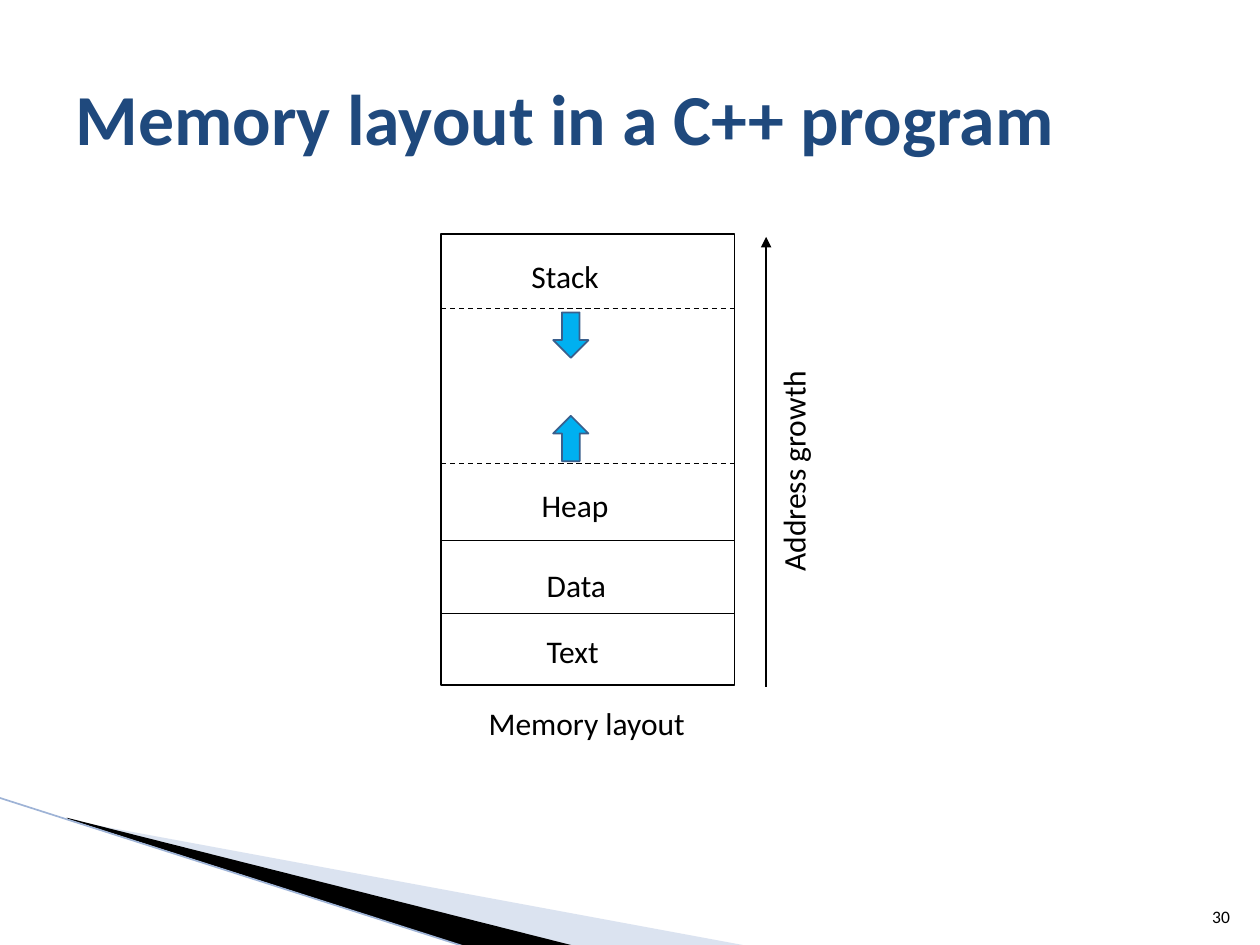
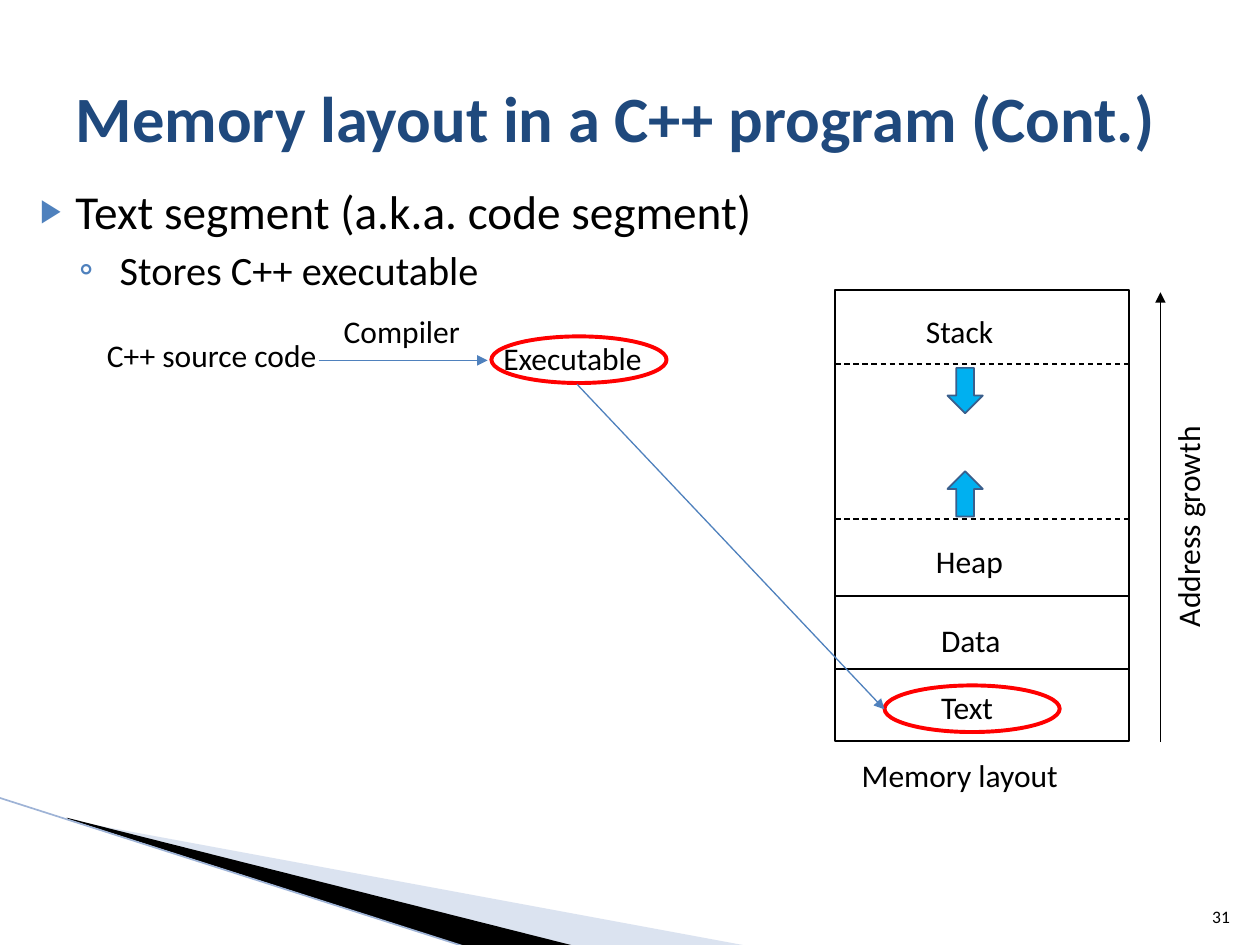
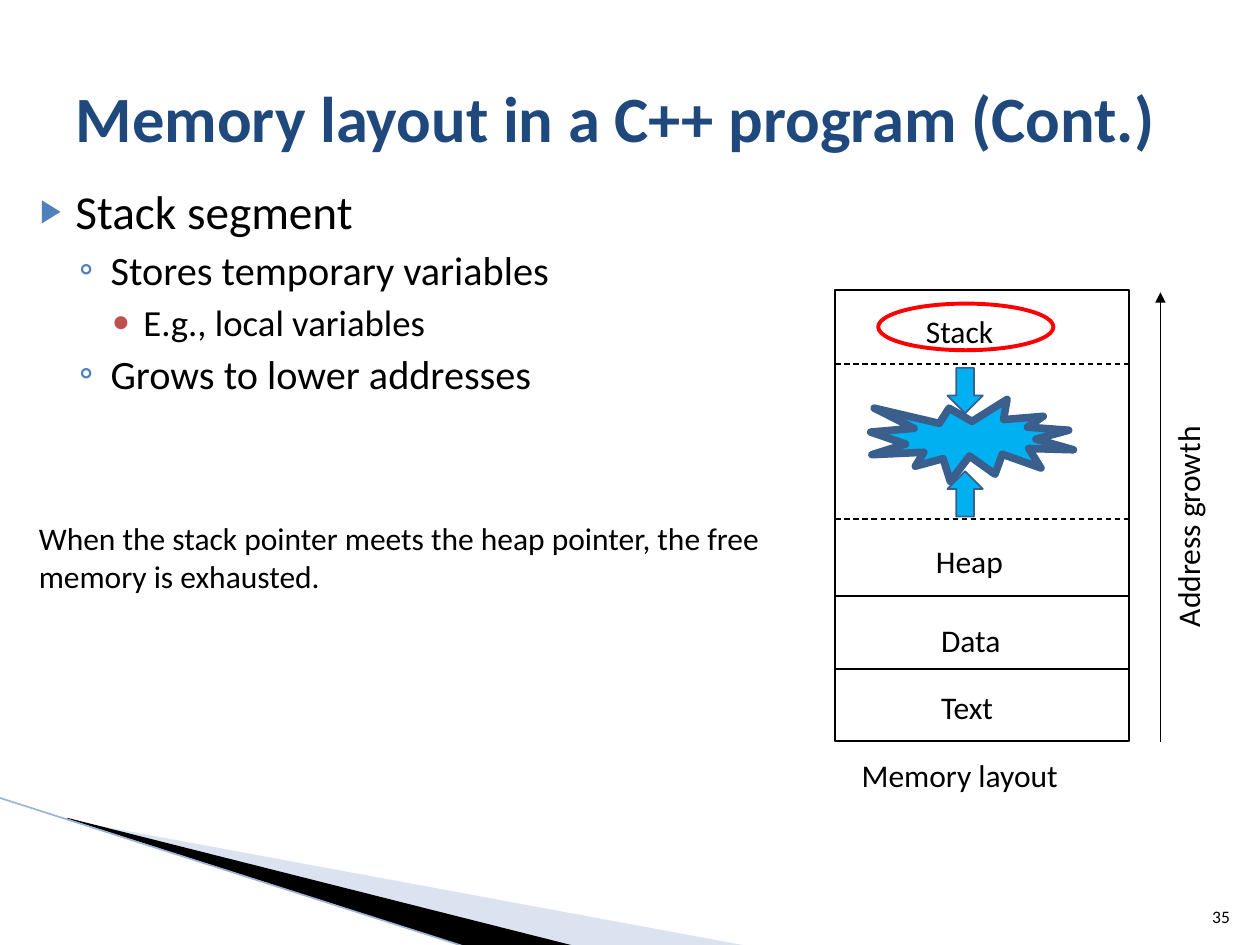
"""Build three slides on the memory layout of a C++ program."""
from typing import NamedTuple

from lxml.etree import SubElement
from pptx import Presentation
from pptx.dml.color import RGBColor
from pptx.enum.dml import MSO_LINE as Dash
from pptx.enum.shapes import MSO_CONNECTOR as Link, MSO_SHAPE as Form
from pptx.enum.text import MSO_ANCHOR as Anchor, MSO_AUTO_SIZE as Fit, PP_ALIGN as Align
from pptx.oxml.ns import qn
from pptx.util import Pt

SCALE = 9144
FONT = "Calibri"
BLACK = RGBColor(0x00, 0x00, 0x00)
NAVY = RGBColor(0x1F, 0x49, 0x7D)
BLUE = RGBColor(0x4F, 0x81, 0xBD)
BRICK = RGBColor(0xC0, 0x50, 0x4D)
RED = RGBColor(0xFF, 0x00, 0x00)
SKY = RGBColor(0x00, 0xB0, 0xF0)
STEEL = RGBColor(0x3A, 0x5F, 0x8C)
PALE = RGBColor(0xA7, 0xB9, 0xDB)
MIST = RGBColor(0x9E, 0xB3, 0xD6)


class Box(NamedTuple):
    left: int
    top: int
    width: int
    height: int

    def shift(self, right: int, down: int) -> "Box":
        return Box(self.left + right, self.top + down, self.width, self.height)

    def emu(self) -> list[int]:
        return [px * SCALE for px in self]


class Label(NamedTuple):
    text: str
    box: Box
    turn: int = 0


class Rule(NamedTuple):
    start: tuple[int, int]
    end: tuple[int, int]
    color: RGBColor = BLACK
    weight: float = 0.75
    dash: bool = False
    arrow: bool = False

    def shift(self, right: int, down: int) -> "Rule":
        (x1, y1), (x2, y2) = self.start, self.end
        return self._replace(start=(x1 + right, y1 + down), end=(x2 + right, y2 + down))


class Level(NamedTuple):
    size: int
    margin: int
    indent: int
    before: float
    mark: str
    color: RGBColor
    percent: int = 100


class Band(NamedTuple):
    points: list[tuple[int, int]]
    color: RGBColor
    alpha: int = 100


LEVELS = [
    Level(27, 40, -28, 4, "▶", BLUE, 68),
    Level(23, 68, -25, 3.2, "◦", BLUE),
    Level(21, 94, -25, 3.5, "•", BRICK),
]
BANDS = [
    Band([(55, 651), (595, 751), (456, 751), (55, 650)], PALE, 40),
    Band([(53, 649), (457, 751), (372, 752), (54, 650)], BLACK),
]
EDGE = Rule((-1, 633), (371, 752), MIST, 0.95)

FRAME = Box(0, 0, 233, 358)
RULES = [Rule((0, y), (233, y), dash=dash)
         for y, dash in ((301, False), (243, False), (182, True), (59, True))]
GROWTH = Rule((258, 359), (258, 2), arrow=True)
PARTS = [
    Label("Text", Box(74, 311, 68, 40)),
    Label("Data", Box(74, 258, 68, 40)),
    Label("Heap", Box(70, 195, 74, 40)),
    Label("Stack", Box(62, 13, 74, 40)),
    Label("Address growth", Box(189, 167, 181, 40), 270),
]
ARROWS = [(Box(89, 62, 28, 36), 0), (Box(89, 144, 28, 36), 180)]
FLOW = [
    Label("C++ source code", Box(75, 262, 189, 40)),
    Label(" Executable", Box(384, 264, 137, 40)),
    Label("Compiler", Box(263, 243, 113, 40)),
]


def style(para, size: float, color: RGBColor = BLACK, bold: bool = False) -> None:
    for run in para.runs:
        font = run.font
        font.name, font.size, font.bold = FONT, Pt(size), bold
        font.color.rgb = color


def write(shapes, label: Label, size: int = 18, wrap: bool = False):
    area = shapes.add_textbox(*label.box.emu())
    area.rotation = label.turn
    frame = area.text_frame
    frame.text = label.text
    frame.word_wrap = wrap
    frame.auto_size = Fit.SHAPE_TO_FIT_TEXT
    style(frame.paragraphs[0], size)
    return frame


def draw(shapes, form: Form, box: Box, line: RGBColor, weight: float,
         fill: RGBColor | None = None, turn: int = 0) -> None:
    shape = shapes.add_shape(form, *box.emu())
    shape.shadow.inherit = False
    shape.rotation = turn
    shape.line.color.rgb, shape.line.width = line, Pt(weight)
    if fill is None:
        shape.fill.background()
    else:
        shape.fill.solid()
        shape.fill.fore_color.rgb = fill


def ring(shapes, left: int, top: int) -> None:
    draw(shapes, Form.OVAL, Box(left, top, 139, 37), RED, 2.25)


def connect(shapes, rule: Rule):
    ends = [px * SCALE for px in rule.start + rule.end]
    link = shapes.add_connector(Link.STRAIGHT, *ends)
    link.line.color.rgb, link.line.width = rule.color, Pt(rule.weight)
    if rule.dash:
        link.line.dash_style = Dash.DASH
    props = link.element.spPr
    if rule.arrow:
        SubElement(props.find(qn("a:ln")), qn("a:tailEnd"), type="triangle")
    SubElement(props, qn("a:effectLst"))
    return link


def fill_band(shapes, band: Band):
    first, *rest = band.points
    pen = shapes.build_freeform(*first, scale=SCALE)
    pen.add_line_segments(rest)
    shape = pen.convert_to_shape()
    shape.shadow.inherit = False
    shape.line.fill.background()
    shape.fill.solid()
    shape.fill.fore_color.rgb = band.color
    if band.alpha < 100:
        tint = shape.element.spPr.find(qn("a:solidFill")).find(qn("a:srgbClr"))
        SubElement(tint, qn("a:alpha"), val=str(band.alpha * 1000))
    return shape


def set_base(deck, layout) -> None:
    for holder in list(layout.placeholders):
        if holder.placeholder_format.idx:
            holder.element.getparent().remove(holder.element)
    shapes = deck.slides[0].shapes
    parts = [fill_band(shapes, band) for band in BANDS] + [connect(shapes, EDGE)]
    for part in parts:
        layout.element.cSld.spTree.append(part.element)


def set_title(slide, text: str, size: float) -> None:
    title = slide.shapes.title
    title.left, title.top, title.width, title.height = Box(50, 30, 900, 125).emu()
    frame = title.text_frame
    frame.text = text
    frame.auto_size = Fit.NONE
    frame.vertical_anchor = Anchor.MIDDLE
    frame.paragraphs[0].alignment = Align.LEFT
    style(frame.paragraphs[0], size, NAVY, True)


def set_number(slide, number: int) -> None:
    frame = write(slide.shapes, Label(str(number), Box(946, 701, 40, 40)), 10, True)
    frame.auto_size = Fit.NONE
    frame.vertical_anchor = Anchor.BOTTOM
    frame.paragraphs[0].alignment = Align.RIGHT


def set_points(slide, points: list[tuple[int, str]]) -> None:
    frame = slide.shapes.add_textbox(*Box(10, 140, 650, 495).emu()).text_frame
    frame.word_wrap = True
    frame.text = "\n".join(text for _, text in points)
    for para, (depth, _) in zip(frame.paragraphs, points):
        level = LEVELS[depth]
        style(para, level.size)
        para.level = depth
        para.space_before = Pt(level.before)
        props = para._p.get_or_add_pPr()
        props.set("marL", str(level.margin * SCALE))
        props.set("indent", str(level.indent * SCALE))
        tint = SubElement(props, qn("a:buClr"))
        SubElement(tint, qn("a:srgbClr"), val=str(level.color))
        SubElement(props, qn("a:buSzPct"), val=str(level.percent * 1000))
        SubElement(props, qn("a:buFont"), typeface=FONT)
        SubElement(props, qn("a:buChar"), char=level.mark)


def draw_stack(slide, left: int, top: int, name: Box) -> None:
    shapes = slide.shapes.add_group_shape().shapes
    draw(shapes, Form.RECTANGLE, FRAME.shift(left, top), BLACK, 1)
    for rule in [*RULES, GROWTH]:
        connect(shapes, rule.shift(left, top))
    for part in PARTS:
        write(shapes, part._replace(box=part.box.shift(left, top)))
    for box, turn in ARROWS:
        draw(shapes, Form.DOWN_ARROW, box.shift(left, top), STEEL, 1, SKY, turn)
    write(shapes, Label("Memory layout", name))


def draw_flow(slide) -> None:
    shapes = slide.shapes.add_group_shape().shapes
    for label in FLOW:
        write(shapes, label)
    connect(shapes, Rule((253, 286), (387, 286), BLUE, arrow=True))
    ring(shapes, 390, 267)


def main() -> None:
    deck = Presentation()
    deck.slide_width, deck.slide_height = 1000 * SCALE, 750 * SCALE
    layout = deck.slide_layouts[5]
    whole, code, stack = [deck.slides.add_slide(layout) for _ in range(3)]
    set_base(deck, layout)

    topic = "Memory layout in a C++ program"
    set_title(whole, topic, 41)
    for slide in (code, stack):
        set_title(slide, f"{topic} (Cont.)", 36.9)
    for slide, number in ((whole, 30), (code, 31), (stack, 35)):
        set_number(slide, number)

    draw_stack(whole, 350, 186, Box(378, 554, 178, 40))

    set_points(code, [(0, "Text segment (a.k.a. code segment)"), (1, " Stores C++ executable")])
    draw_flow(code)
    ring(code.shapes, 702, 544)

    set_points(stack, [
        (0, "Stack segment"),
        (1, "Stores temporary variables"),
        (2, "E.g., local variables"),
        (1, "Grows to lower addresses"),
    ])
    for slide in (code, stack):
        draw_stack(slide, 663, 230, Box(674, 595, 178, 40))
    connect(code.shapes, Rule((458, 305), (702, 563), BLUE, arrow=True))
    ring(stack.shapes, 697, 241)
    warning = "When the stack pointer meets the heap pointer, the free memory is exhausted."
    write(stack.shapes, Label(warning, Box(21, 407, 600, 71)), wrap=True)
    draw(stack.shapes, Form.EXPLOSION1, Box(691, 317, 161, 65), STEEL, 4.33, SKY)

    deck.save("out.pptx")


if __name__ == "__main__":
    main()
